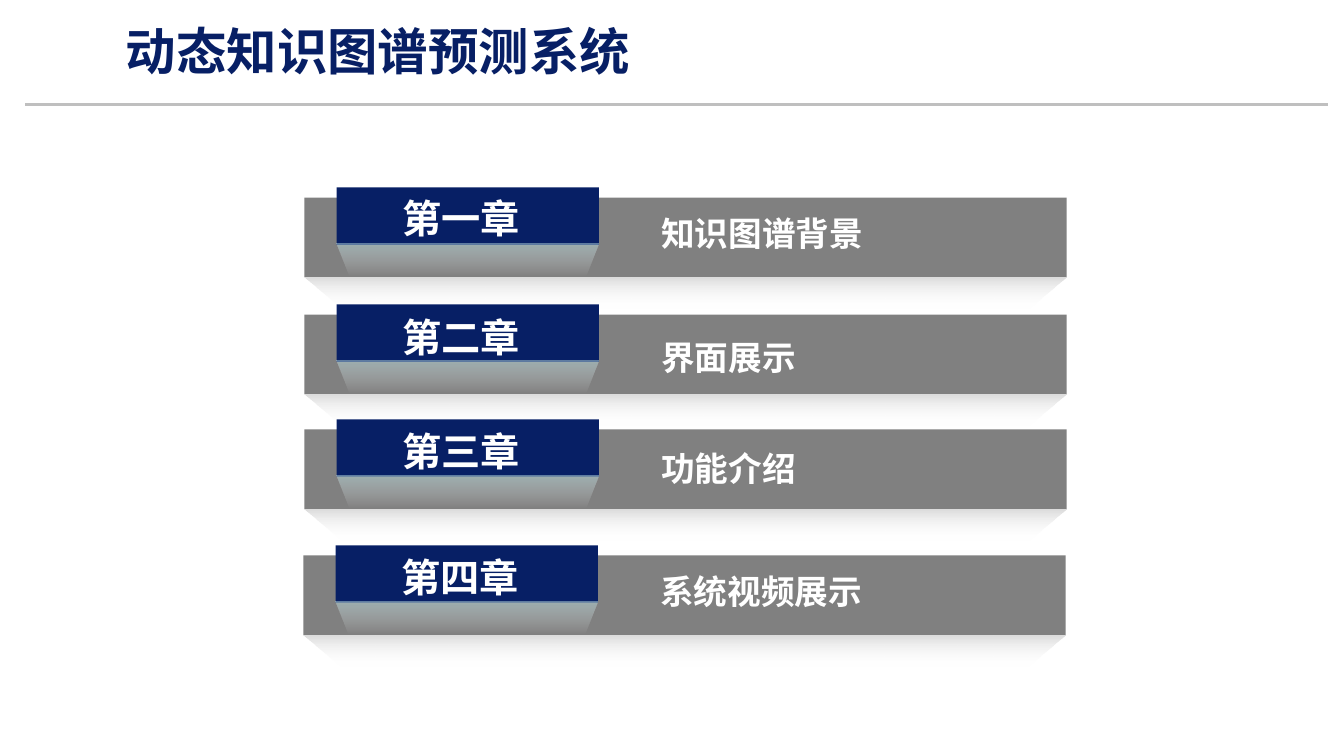
from lxml import etree
from pptx import Presentation
from pptx.dml.color import RGBColor
from pptx.enum.shapes import MSO_CONNECTOR, MSO_SHAPE
from pptx.enum.text import MSO_ANCHOR, MSO_AUTO_SIZE, PP_ALIGN
from pptx.oxml.ns import qn
from pptx.util import Inches, Pt

RECTANGLE = MSO_SHAPE.RECTANGLE
STRAIGHT = MSO_CONNECTOR.STRAIGHT
LEFT, CENTER = PP_ALIGN.LEFT, PP_ALIGN.CENTER
TOP, BOTTOM = MSO_ANCHOR.TOP, MSO_ANCHOR.BOTTOM

# Content: chapter, subject, bar left, bar top, chapter text top, subject text top
TITLE = "动态知识图谱预测系统"
CHAPTERS = [
    ("第一章", "知识图谱背景", 3.02, 1.96, 1.88, 2.06),
    ("第二章", "界面展示", 3.02, 3.12, 3.06, 3.29),
    ("第三章", "功能介绍", 3.02, 4.26, 4.19, 4.39),
    ("第四章", "系统视频展示", 3.01, 5.51, 5.44, 5.61),
]

# Style
FONT = "Noto Sans CJK SC"
NAVY = RGBColor(0x07, 0x1F, 0x65)
GRAY = RGBColor(0x80, 0x80, 0x80)
RULE_GRAY = RGBColor(0xBF, 0xBF, 0xBF)
SHADE = RGBColor(0xDD, 0xDD, 0xDD)
AQUA = RGBColor(0xBB, 0xE0, 0xE3)
WHITE = RGBColor(0xFF, 0xFF, 0xFF)

# Sizes in inches
BAR_WIDTH, BAR_HEIGHT = 7.56, 0.79
TAG_WIDTH, TAG_HEIGHT = 2.6, 0.57
TAG_INDENT, TAG_RISE = 0.32, 0.1
FLAP_HEIGHT = 0.31
BAR_SLANT, TAG_SLANT = 0.38, 0.13

deck = Presentation()
deck.slide_width, deck.slide_height = Inches(13.33), Inches(7.5)
page = deck.slides.add_slide(deck.slide_layouts[6])


def add_rule(top, color):
    rule = page.shapes.add_connector(
        STRAIGHT, Inches(0.25), Inches(top), Inches(13.17), Inches(top))
    rule.line.color.rgb = color
    rule.line.width = Pt(2.25)
    etree.SubElement(rule.element.spPr, qn("a:effectLst"))


def add_text(words, left, top, width, height, size, color,
             align=LEFT, anchor=TOP):
    box = page.shapes.add_textbox(
        Inches(left), Inches(top), Inches(width), Inches(height))
    frame = box.text_frame
    frame.word_wrap = True
    frame.vertical_anchor = anchor
    frame.text = words
    para = frame.paragraphs[0]
    para.alignment = align
    span = para.runs[0]
    span.font.size = Pt(size)
    span.font.bold = True
    span.font.color.rgb = color
    span.font.name = FONT
    east_asian = etree.SubElement(span.font._element, qn("a:ea"))
    east_asian.set("typeface", FONT)
    return box


def add_block(left, top, width, height, color):
    block = page.shapes.add_shape(
        RECTANGLE, Inches(left), Inches(top), Inches(width), Inches(height))
    block.shadow.inherit = False
    block.fill.solid()
    block.fill.fore_color.rgb = color
    block.line.fill.background()


def add_flap(left, top, width, slant, color, opacity):
    """Folded edge that narrows downwards and fades out."""
    right, bottom = left + width, top + FLAP_HEIGHT
    outline = page.shapes.build_freeform(Inches(left), Inches(top))
    corners = [(left + slant, bottom), (right - slant, bottom), (right, top)]
    outline.add_line_segments(
        [(Inches(x), Inches(y)) for x, y in corners], close=True)
    flap = outline.convert_to_shape()
    flap.shadow.inherit = False
    flap.line.fill.background()
    flap.fill.gradient()
    flap.fill.gradient_angle = 270
    for stop, stop_color in zip(flap.fill.gradient_stops, (color, WHITE)):
        stop.color.rgb = stop_color
    shades = list(flap.element.spPr.iter(qn("a:srgbClr")))
    for shade, percent in zip(shades, (opacity, 0)):
        alpha = etree.SubElement(shade, qn("a:alpha"))
        alpha.set("val", str(percent * 1000))


# Heading
add_rule(1.04, RULE_GRAY)
add_rule(1.1, WHITE)
add_text(TITLE, 1.15, 0.09, 12.09, 0.77, 36, NAVY, anchor=BOTTOM)
page.shapes[-1].text_frame.paragraphs[0].line_spacing = 0.9

# Chapter bars
for chapter, subject, left, top, chapter_top, subject_top in CHAPTERS:
    tag_left, tag_top = left + TAG_INDENT, top - TAG_RISE
    add_block(left, top, BAR_WIDTH, BAR_HEIGHT, GRAY)
    add_block(tag_left, tag_top, TAG_WIDTH, TAG_HEIGHT, NAVY)
    add_flap(left, top + BAR_HEIGHT, BAR_WIDTH, BAR_SLANT, SHADE, 100)
    add_flap(tag_left, tag_top + TAG_HEIGHT - 0.01, TAG_WIDTH, TAG_SLANT,
             AQUA, 50)
    labels = [
        add_text(chapter, left + 0.61, chapter_top, 1.89, 0.57, 28, WHITE, CENTER),
        add_text(subject, left + 3.44, subject_top, 3.78, 0.5, 24, WHITE),
    ]
    for label in labels:
        label.text_frame.auto_size = MSO_AUTO_SIZE.SHAPE_TO_FIT_TEXT

deck.save("out.pptx")
